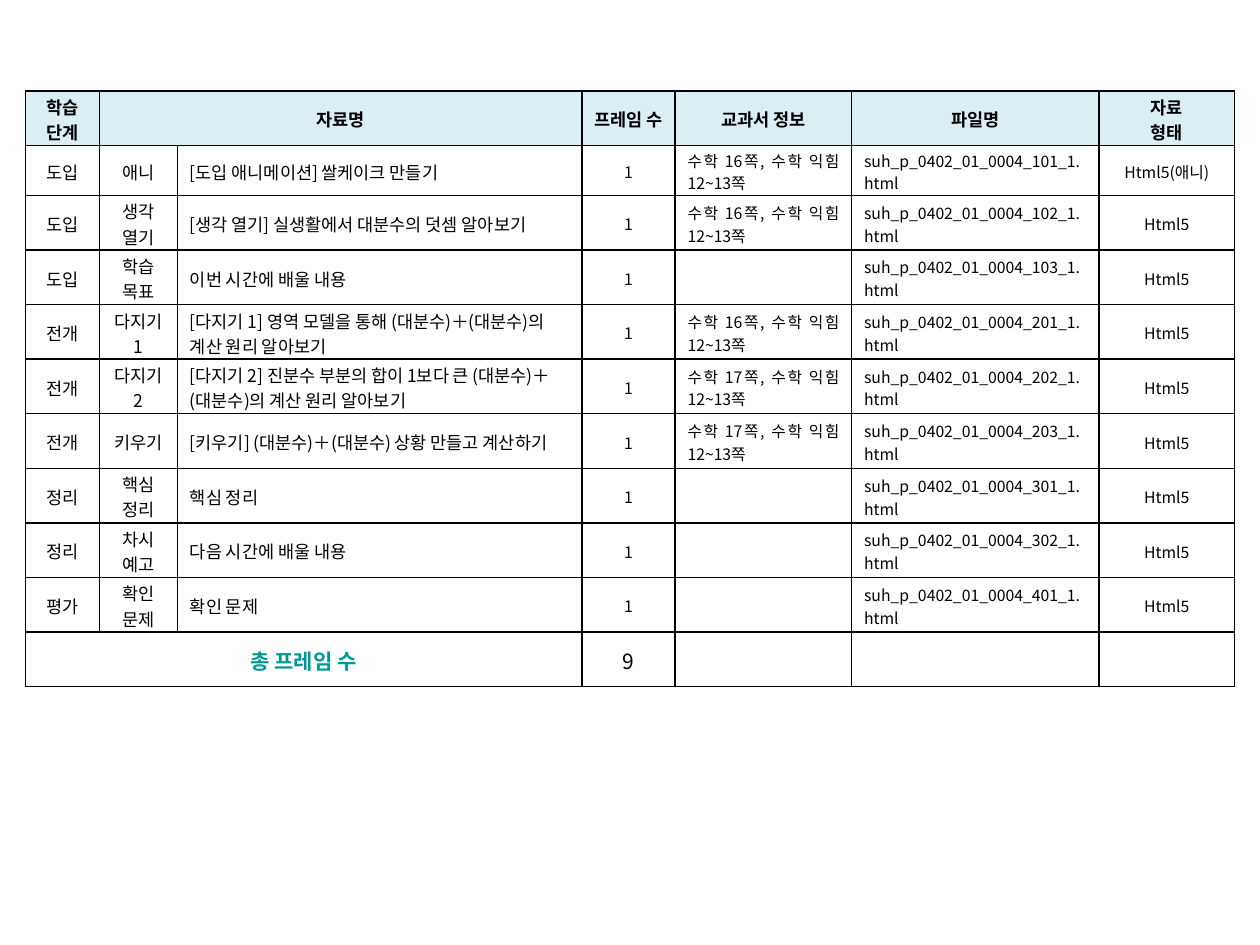
from lxml.etree import SubElement
from pptx import Presentation
from pptx.dml.color import RGBColor
from pptx.enum.text import MSO_ANCHOR, PP_ALIGN
from pptx.oxml import parse_xml
from pptx.oxml.ns import nsdecls, qn
from pptx.util import Cm, Pt

FONT = "Noto Sans CJK KR"


def color(code):
    return RGBColor.from_string(code)


def style(cell, text, size, align, bold=False, ink="000000", fill=None):
    cell.text = text
    cell.vertical_anchor = MSO_ANCHOR.MIDDLE
    cell.margin_left = cell.margin_right = Cm(0.25)
    cell.margin_top, cell.margin_bottom = Cm(0.05), Cm(0)
    if fill:
        cell.fill.solid()
        cell.fill.fore_color.rgb = color(fill)
    else:
        cell.fill.background()
    for para in cell.text_frame.paragraphs:
        para.alignment = align
        font = para.font
        font.size, font.bold = Pt(size), bold
        font.color.rgb = color(ink)
        font.name = FONT
        props = para._p.pPr.find(qn("a:defRPr"))
        SubElement(props, qn("a:ea")).set("typeface", FONT)
    for at, side in enumerate(("lnL", "lnR", "lnT", "lnB")):
        cell._tc.tcPr.insert(at, parse_xml(
            f'<a:{side} {nsdecls("a")} w="{Pt(1)}"><a:solidFill>'
            f'<a:srgbClr val="000000"/></a:solidFill></a:{side}>'))


heads = ["학습 단계", "자료명", "", "프레임 수", "교과서 정보", "파일명", "자료\n형태"]
items = [
    ("도입", "애니", "[도입 애니메이션] 쌀케이크 만들기", 16, 101),
    ("도입", "생각 열기", "[생각 열기] 실생활에서 대분수의 덧셈 알아보기", 16, 102),
    ("도입", "학습 목표", "이번 시간에 배울 내용", None, 103),
    ("전개", "다지기 1", "[다지기 1] 영역 모델을 통해 (대분수)＋(대분수)의 계산 원리 알아보기", 16, 201),
    ("전개", "다지기 2", "[다지기 2] 진분수 부분의 합이 1보다 큰 (대분수)＋(대분수)의 계산 원리 알아보기", 17, 202),
    ("전개", "키우기", "[키우기] (대분수)＋(대분수) 상황 만들고 계산하기", 17, 203),
    ("정리", "핵심 정리", "핵심 정리", None, 301),
    ("정리", "차시 예고", "다음 시간에 배울 내용", None, 302),
    ("평가", "확인 문제", "확인 문제", None, 401),
]
total = ["총 프레임 수", "", "", "9", "", "", ""]
widths = [1.5, 1.57, 8.15, 1.88, 3.56, 4.98, 2.74]
heights = [1.1, 1.01] + [1.1] * 9
MID, LEFT, JUST = PP_ALIGN.CENTER, PP_ALIGN.LEFT, PP_ALIGN.JUSTIFY
sizes = [10, 10, 10, 9, 9, 9, 9]
aligns = [MID, MID, LEFT, MID, JUST, JUST, MID]

deck = Presentation()
deck.slide_width, deck.slide_height = Cm(25.4), Cm(19.05)
slide = deck.slides.add_slide(deck.slide_layouts[6])
frame = slide.shapes.add_table(
    len(heights), len(widths), Cm(0.51), Cm(1.83), Cm(sum(widths)), Cm(sum(heights)))
table = frame.table
table.first_row = table.horz_banding = False
for col, width in zip(table.columns, widths):
    col.width = Cm(width)
for row, height in zip(table.rows, heights):
    row.height = Cm(height)

for c, head in enumerate(heads):
    style(table.cell(0, c), head, 10, MID, bold=True, fill="DBEEF4")

for r, (stage, part, title, page, code) in enumerate(items, 1):
    book = f"수학 {page}쪽, 수학 익힘 12~13쪽" if page else ""
    kind = "Html5(애니)" if r == 1 else "Html5"
    texts = [stage, part, title, "1", book, f"suh_p_0402_01_0004_{code}_1.html", kind]
    for c, (text, size, align) in enumerate(zip(texts, sizes, aligns)):
        style(table.cell(r, c), text, size, align)

last = len(heights) - 1
for c, text in enumerate(total):
    style(table.cell(last, c), text, 12, MID, bold=c == 0,
          ink="009999" if c == 0 else "000000")

table.cell(0, 1).merge(table.cell(0, 2))
table.cell(last, 0).merge(table.cell(last, 2))

deck.save("out.pptx")
